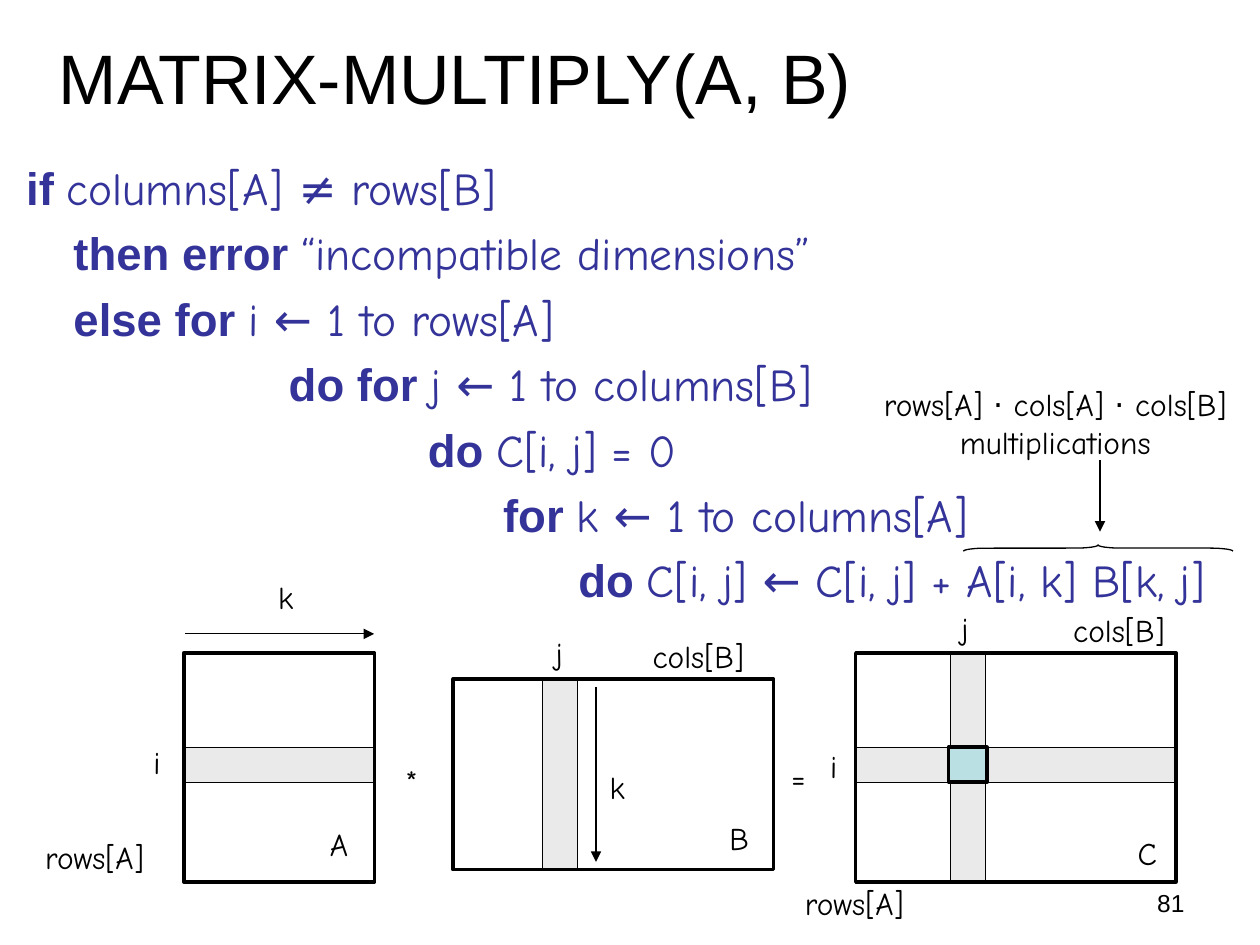
from lxml import etree
from pptx import Presentation, util as u
from pptx.dml.color import RGBColor
from pptx.enum import shapes, text
from pptx.oxml.ns import qn

Pt = u.Pt
THEME = {
    "black": "000000", "code": "333399", "strip": "EAEAEA", "cell": "BBE0E3",
    "sans": "Arial", "hand": "Comic Neue",
    "title": 40, "body": 26, "label": 18, "number": 14,
    "thin": 0.75, "thick": 2,
}

# Content: indent, keywords, rest of the line
CODE = [
    (0, "if ", "columns[A] ≠ rows[B]"),
    (27, "then error ", "“incompatible dimensions”"),
    (27, "else for ", "i ← 1 to rows[A]"),
    (150, "do for ", "j ← 1 to columns[B]"),
    (229.5, "do ", "C[i, j] = 0"),
    (272.5, "for ", "k ← 1 to columns[A]"),
    (315.5, "do ", "C[i, j] ← C[i, j] + A[i, k] B[k, j]"),
]
# Matrices: left, top, width, height, offset of row strip, offset of column strip
MATRICES = [
    (105, 373, 109, 131, 54, None),
    (259, 388, 183, 109, None, 51),
    (489, 373, 183, 131, 54, 54),
]
STRIP = 20
# Labels: text, left, top, width
LABELS = [
    ("rows[A]", 18.7, 475.2, 80.6), ("rows[A]", 452.9, 501.8, 80.6),
    ("cols[B]", 365.8, 360.7, 72), ("cols[B]", 606.2, 345.6, 72),
    ("i", 80.6, 421.2, 19.4), ("i", 467.3, 423.4, 19.4),
    ("j", 310.3, 358.6, 21.6), ("j", 542.2, 344.2, 21.6),
    ("k", 151.9, 326.9, 24.5), ("k", 341.3, 435.6, 24.5),
    ("A", 181.4, 468, 27.4), ("B", 409.7, 464.4, 25.9), ("C", 643, 473, 25.2),
    ("*", 224.6, 432, 23.8), ("=", 445, 429.8, 23.8),
]
# Arrows: start x, start y, end x, end y
ARROWS = [
    (105.8, 362.2, 213.8, 362.2),
    (340.6, 392.4, 340.6, 492.5),
    (628.6, 262.8, 628.6, 303.8),
]


def color(name):
    return RGBColor.from_string(THEME[name])


def add_text(slide, paragraphs, left, top, width, height, *, size="label", font="hand",
             ink="black", align=text.PP_ALIGN.LEFT, anchor=text.MSO_ANCHOR.TOP,
             wrap=True, before=0):
    """Each paragraph is (indent, [(words, font, bold), ...]) or a plain string."""
    box = slide.shapes.add_textbox(Pt(left), Pt(top), Pt(width), Pt(height))
    frame = box.text_frame
    frame.word_wrap = wrap
    frame.auto_size = text.MSO_AUTO_SIZE.NONE if wrap else text.MSO_AUTO_SIZE.SHAPE_TO_FIT_TEXT
    frame.vertical_anchor = anchor
    for index, content in enumerate(paragraphs):
        indent, spans = (0, [(content, font, False)]) if isinstance(content, str) else content
        para = frame.add_paragraph() if index else frame.paragraphs[0]
        para.alignment = align
        para.space_before = Pt(before if index else 0)
        if indent:
            para._p.get_or_add_pPr().set("marL", str(Pt(indent)))
        for words, face, bold in spans:
            span = para.add_run()
            span.text = words
            span.font.name = THEME[face]
            span.font.size = Pt(THEME[size])
            span.font.bold = bold
            span.font.color.rgb = color(ink)
    return box


def add_block(slide, left, top, width, height, fill=None, weight="thin",
              kind=shapes.MSO_SHAPE.RECTANGLE):
    block = slide.shapes.add_shape(kind, Pt(left), Pt(top), Pt(width), Pt(height))
    block.shadow.inherit = False
    if fill:
        block.fill.solid()
        block.fill.fore_color.rgb = color(fill)
    else:
        block.fill.background()
    block.line.color.rgb = color("black")
    block.line.width = Pt(THEME[weight])
    return block


def add_arrow(slide, *ends):
    arrow = slide.shapes.add_connector(shapes.MSO_CONNECTOR.STRAIGHT, *map(Pt, ends))
    arrow.line.color.rgb = color("black")
    arrow.line.width = Pt(THEME["thin"])
    line = arrow.line._get_or_add_ln()
    etree.SubElement(line, qn("a:tailEnd"), type="triangle")
    etree.SubElement(arrow._element.spPr, qn("a:effectLst"))


def main():
    deck = Presentation()
    deck.slide_width, deck.slide_height = Pt(720), Pt(540)
    page = deck.slides.add_slide(deck.slide_layouts[6])

    # Title, page number and pseudocode
    add_text(page, ["MATRIX-MULTIPLY(A, B)"], 26.6, 7.9, 648, 71.3,
             size="title", font="sans", anchor=text.MSO_ANCHOR.MIDDLE)
    add_text(page, ["81"], 516.2, 504, 167.8, 25.2,
             size="number", font="sans", align=text.PP_ALIGN.RIGHT)
    lines = [(indent, [(keyword, "sans", True), (rest, "hand", False)])
             for indent, keyword, rest in CODE]
    add_text(page, lines, 7.9, 87.8, 712, 399.6, size="body", ink="code", before=6.2)

    # Matrices: strips below, outline above, the shared cell on top
    for left, top, width, height, row, column in MATRICES:
        if row is not None:
            add_block(page, left, top + row, width, STRIP, "strip")
        if column is not None:
            add_block(page, left + column, top, STRIP, height, "strip")
        add_block(page, left, top, width, height, weight="thick")
        if row is not None and column is not None:
            add_block(page, left + column - 1, top + row, STRIP + 2, STRIP, "cell", "thick")

    # Labels and arrows
    for words, left, top, width in LABELS:
        add_text(page, [words], left, top, width, 28.8, wrap=False)
    for ends in ARROWS:
        add_arrow(page, *ends)

    # Cost note with its brace
    add_text(page, ["rows[A] ⋅ cols[A] ⋅ cols[B]", "multiplications"],
             489.6, 216.7, 226.8, 50.4, align=text.PP_ALIGN.CENTER, wrap=False)
    brace = add_block(page, 625.7, 236.2, 3.6, 154, kind=shapes.MSO_SHAPE.LEFT_BRACE)
    brace.rotation = 90
    brace.adjustments[0] = 3.66

    deck.save("out.pptx")


if __name__ == "__main__":
    main()
